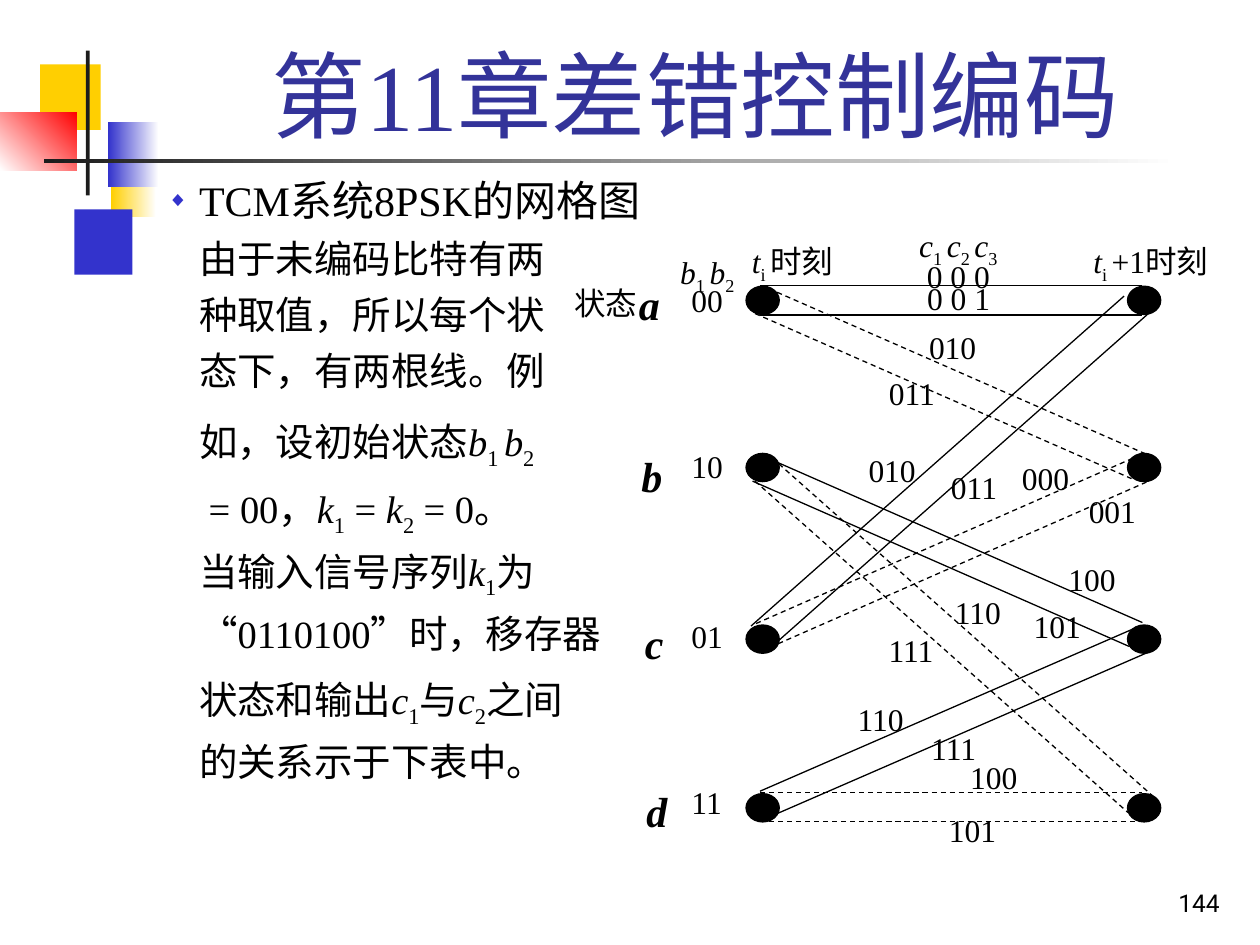
from lxml.etree import SubElement
from pptx import Presentation
from pptx.dml.color import RGBColor
from pptx.enum.dml import MSO_LINE
from pptx.enum.shapes import MSO_CONNECTOR, MSO_SHAPE
from pptx.enum.text import MSO_ANCHOR, MSO_AUTO_SIZE, PP_ALIGN
from pptx.oxml.ns import qn
from pptx.util import Cm, Pt

SERIF = "Times New Roman"
BLACK, WHITE, BLUE, GOLD, DARK = "000000", "FFFFFF", "3333CC", "FFCF01", "1C1C1C"

# Colour, gradient angle (None for a plain fill), left, top, width, height
ORNAMENTS = [
    ((WHITE, GOLD), 180, 2.24, 3.05, 0.91, 1.32),
    ((BLUE,), None, 1.5, 4.22, 1.17, 1.32),
    ((GOLD,), None, 0.81, 1.3, 1.22, 1.32),
    ((WHITE, BLUE), 180, 2.18, 2.46, 1.02, 1.32),
    (("FF0000", WHITE), 225, 0, 2.26, 1.55, 1.17),
    ((DARK,), None, 1.73, 1.02, 0.08, 2.92),
    ((WHITE, DARK), 180, 0.89, 3.2, 22.86, 0.08),
]

# Line spacing and text; "|*" starts italic, "|_" subscript, "|" plain text
EXPLANATION = [
    (1, "由于未编码比特有两"),
    (1, "种取值，所以每个状"),
    (1, "态下，有两根线。例"),
    (1.3, "如，设初始状态|*b|_1 |*b|_2"),
    (1.1, " = 00，|*k|_1| = |*k|_2| = 0。"),
    (1, "当输入信号序列|*k|_1|为"),
    (1, "“0110100”时，移存器"),
    (1.2, "状态和输出|*c|_1|与|*c|_2|之间"),
    (1, "的关系示于下表中。"),
]

# State letter with its place, then code with its top, then top of the nodes
STATES = [
    ("a", 1.3, 0.97, "00", 1.02, 1.25),
    ("b", 1.35, 4.44, "10", 4.37, 4.62),
    ("c", 1.42, 7.8, "01", 7.8, 8.08),
    ("d", 1.45, 11.2, "11", 11.15, 11.48),
]

# Run, rise, dashed, start points of the two parallel branches
BRANCHES = [
    (7.59, 3.33, True, [(4.17, 1.3), (3.89, 1.8)]),
    (7.59, 3.33, False, [(4.11, 4.7), (3.84, 5.18)]),
    (7.59, -3.3, False, [(4.27, 11.91), (3.99, 11.43)]),
    (7.59, -3.33, True, [(4.19, 8.53), (3.91, 8.05)]),
    (7.7, 0, False, [(3.99, 1.24), (3.99, 1.83)]),
    (7.7, 0, True, [(3.99, 11.46), (3.99, 12.04)]),
    (7.52, -6.65, False, [(3.81, 8.1), (4.29, 8.46)]),
    (7.52, 6.68, True, [(3.89, 5.18), (4.37, 4.83)]),
]

OUTPUTS = [
    ("011", 7.24, 4.8), ("010", 6.81, 1.96), ("011", 5.99, 2.9),
    ("010", 5.59, 4.44), ("101", 8.92, 7.59), ("000", 8.68, 4.6),
    ("001", 10.03, 5.28), ("100", 9.62, 6.65), ("100", 7.64, 10.64),
    ("110", 7.32, 7.32), ("111", 5.97, 8.08), ("110", 5.36, 9.47),
    ("111", 6.83, 10.06), ("101", 7.21, 11.71), ("0 0 1", 6.93, 0.99),
]

HEADINGS = [
    ("*b|_1 |*b|_2", 2.13, 0.46, 1.85, 1.04),
    ("*t|_i |+1时刻", 10.46, 0.23, 3.02, 1.12),
    ("*t|_i |时刻", 3.58, 0.23, 2.46, 1.12),
    ("状态", 0, 1.09, 2.24, 1.07),
]


def rgb(color):
    return RGBColor.from_string(color)


def apply(target, values):
    for name, value in values.items():
        setattr(target, name, value)


def place(shape, left, top, width, height):
    apply(shape, dict(left=Cm(left), top=Cm(top), width=Cm(width), height=Cm(height)))


def write(paragraph, marked, size, color=BLACK, font=SERIF, bold=False, italic=False):
    for piece in marked.split("|"):
        run = paragraph.add_run()
        run.text = piece.lstrip("*_")
        apply(run.font, dict(size=Pt(size), name=font, bold=bold,
                             italic=italic or piece.startswith("*")))
        run.font.color.rgb = rgb(color)
        if piece.startswith("_"):
            run.font._element.set("baseline", "-25000")


def add_label(shapes, lines, box, size=18, align=PP_ALIGN.JUSTIFY, spacing=1,
              anchor=MSO_ANCHOR.TOP, **style):
    frame = shapes.add_textbox(*map(Cm, box)).text_frame
    apply(frame, dict(word_wrap=True, vertical_anchor=anchor))
    for number, line in enumerate(lines):
        paragraph = frame.add_paragraph() if number else frame.paragraphs[0]
        apply(paragraph, dict(alignment=align, line_spacing=spacing))
        write(paragraph, line, size, **style)


def draw_ornaments(shapes):
    for colors, angle, *box in ORNAMENTS:
        block = shapes.add_shape(MSO_SHAPE.RECTANGLE, *map(Cm, box))
        block.shadow.inherit = False
        block.line.fill.background()
        if angle is None:
            block.fill.solid()
            block.fill.fore_color.rgb = rgb(colors[0])
            continue
        block.fill.gradient()
        block.fill.gradient_angle = angle
        for stop, color, position in zip(block.fill.gradient_stops, colors, (0, 1)):
            stop.color.rgb = rgb(color)
            stop.position = position


def fill_title(title, box):
    place(title, *box)
    apply(title.text_frame, dict(vertical_anchor=MSO_ANCHOR.BOTTOM, word_wrap=True,
                                 auto_size=MSO_AUTO_SIZE.NONE))
    heading = title.text_frame.paragraphs[0]
    heading.alignment = PP_ALIGN.CENTER
    write(heading, "第11章差错控制编码", 54, "333399")


def set_bullet(paragraph, shown):
    properties = paragraph._p.get_or_add_pPr()
    properties.set("marL", str(Cm(3.18)))
    properties.set("indent", str(Cm(-0.64) if shown else 0))
    if not shown:
        SubElement(properties, qn("a:buNone"))
        return
    color = SubElement(properties, qn("a:buClr"))
    SubElement(color, qn("a:srgbClr")).set("val", BLUE)
    SubElement(properties, qn("a:buSzPct")).set("val", "50000")
    SubElement(properties, qn("a:buChar")).set("char", "◆")


def fill_body(body, box):
    place(body, *box)
    frame = body.text_frame
    apply(frame, dict(word_wrap=True, auto_size=MSO_AUTO_SIZE.NONE))
    lines = [(1, "TCM系统8PSK的网格图")] + EXPLANATION
    for number, (spacing, line) in enumerate(lines):
        paragraph = frame.add_paragraph() if number else frame.paragraphs[0]
        apply(paragraph, dict(level=2, alignment=PP_ALIGN.LEFT, line_spacing=spacing,
                              space_before=Pt(5.5 if number else 0)))
        set_bullet(paragraph, number == 0)
        write(paragraph, line, 22 if number else 24)


def draw_trellis(shapes, left, top):
    def at(x, y, *size):
        return (left + x, top + y, *size)

    # State nodes at both moments
    for *_, node_top in STATES:
        for node_left in (3.71, 11.4):
            node = shapes.add_shape(MSO_SHAPE.OVAL,
                                    *map(Cm, at(node_left, node_top, 0.67, 0.57)))
            node.shadow.inherit = False
            node.fill.solid()
            node.fill.fore_color.rgb = node.line.color.rgb = rgb(BLACK)
            node.line.width = Pt(0.75)

    # Parallel branches
    for run, rise, dashed, starts in BRANCHES:
        for x, y in starts:
            branch = shapes.add_connector(MSO_CONNECTOR.STRAIGHT,
                                          *map(Cm, at(x, y) + at(x + run, y + rise)))
            SubElement(branch._element.spPr, qn("a:effectLst"))
            branch.line.color.rgb = rgb(BLACK)
            branch.line.width = Pt(0.75)
            if dashed:
                branch.line.dash_style = MSO_LINE.DASH

    # State names and codes
    for letter, x, y, code, code_top, _ in STATES:
        add_label(shapes, [letter], at(x, y, 1.5, 1.04), 24, bold=True, italic=True)
        add_label(shapes, [code], at(2.36, code_top, 1.52, 1.04))

    # Column headings and branch outputs
    for heading, *box in HEADINGS:
        add_label(shapes, [heading], at(*box))
    add_label(shapes, ["*c|_1 |*c|_2 |*c|_3", "0 0 0"], at(6.76, 0, 2.46, 1.32),
              align=PP_ALIGN.CENTER, spacing=0.8)
    for output, x, y in OUTPUTS:
        add_label(shapes, [output], at(x, y, 2.13, 1.04), align=PP_ALIGN.CENTER)


def main():
    deck = Presentation()
    apply(deck, dict(slide_width=Cm(25.4), slide_height=Cm(19.05)))
    slide = deck.slides.add_slide(deck.slide_layouts[1])
    title, body = slide.placeholders
    draw_ornaments(slide.shapes)
    # Bring the placeholders in front of the ornaments
    for holder in (title, body):
        holder.element.getparent().append(holder.element)
    fill_title(title, (3.2, 0.58, 21.64, 2.57))
    fill_body(body, (0.58, 3.4, 24.82, 15.65))
    draw_trellis(slide.shapes.add_group_shape().shapes, 11.33, 4.52)
    # Page number
    add_label(slide.shapes, ["144"], (19.56, 17.35, 5.28, 1.27), 14,
              PP_ALIGN.RIGHT, anchor=MSO_ANCHOR.BOTTOM, font="Roboto")
    deck.save("out.pptx")


if __name__ == "__main__":
    main()
